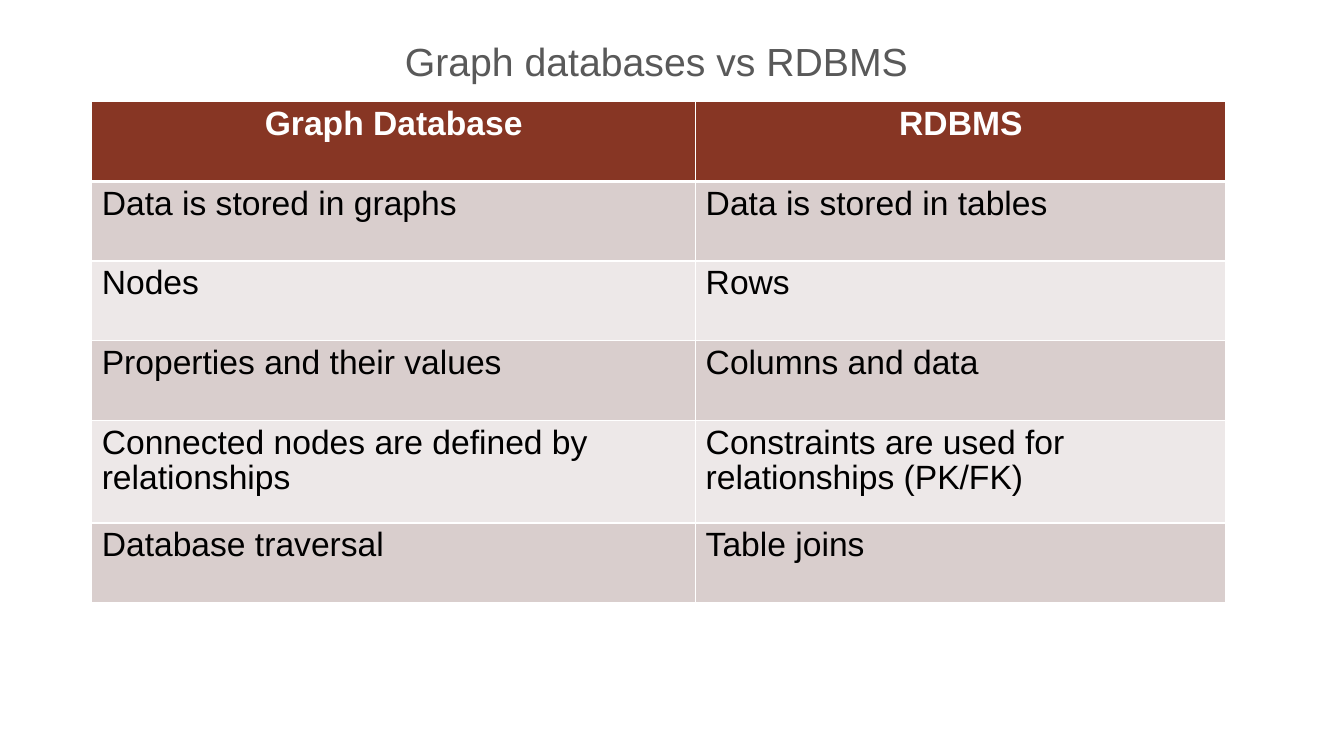
from dataclasses import dataclass

from lxml import etree
from pptx import Presentation
from pptx import util as u
from pptx.dml.color import RGBColor
from pptx.enum import text
from pptx.oxml import ns

PX = 9144


@dataclass(frozen=True)
class Theme:
    font: str = "Arial"
    title: int = 28
    body: int = 24
    gray: str = "595959"
    head: str = "873624"
    bands: tuple = ("D9CECD", "EDE8E8")
    white: str = "FFFFFF"
    black: str = "000000"


THEME = Theme()
ROWS = [
    ("Graph Database", "RDBMS"),
    ("Data is stored in graphs", "Data is stored in tables"),
    ("Nodes", "Rows"),
    ("Properties and their values", "Columns and data"),
    ("Connected nodes are defined by relationships",
     "Constraints are used for relationships (PK/FK)"),
    ("Database traversal", "Table joins"),
]
COLS = (599, 526)
HIGH = (79, 79, 79, 79, 102, 79)


def px(*vals):
    return [u.Emu(val * PX) for val in vals]


def write(frame, words, size, color, bold=False, center=False, pitch=None):
    frame.word_wrap = True
    para = frame.paragraphs[0]
    para.alignment = text.PP_ALIGN.CENTER if center else text.PP_ALIGN.LEFT
    para.line_spacing = pitch
    run = para.add_run()
    run.text = words
    run.font.name = THEME.font
    run.font.size = u.Pt(size)
    run.font.bold = bold
    run.font.color.rgb = RGBColor.from_string(color)


def paint(cell, color):
    cell.fill.solid()
    cell.fill.fore_color.rgb = RGBColor.from_string(color)


def edge(cell, side, width):
    line = etree.Element(ns.qn(f"a:ln{side}"), w=str(u.Pt(width)))
    fill = etree.SubElement(line, ns.qn("a:solidFill"))
    etree.SubElement(fill, ns.qn("a:srgbClr"), val=THEME.white)
    return line


def frame_cell(cell, top, bottom):
    props = cell._tc.get_or_add_tcPr()
    widths = {"L": 1, "R": 1, "T": top, "B": bottom}
    for spot, (side, width) in enumerate(widths.items()):
        props.insert(spot, edge(cell, side, width))


def add_title(slide, box):
    frame = slide.shapes.add_textbox(*px(*box)).text_frame
    write(frame, "Graph databases vs RDBMS", THEME.title, THEME.gray,
          center=True)


def add_grid(slide, box):
    grid = slide.shapes.add_table(len(ROWS), len(COLS), *px(*box)).table
    for col, width in zip(grid.columns, px(*COLS)):
        col.width = width
    for row, high in zip(grid.rows, px(*HIGH)):
        row.height = high
    for r, row in enumerate(ROWS):
        head = r == 0
        for c, words in enumerate(row):
            cell = grid.cell(r, c)
            paint(cell, THEME.head if head else THEME.bands[(r - 1) % 2])
            frame_cell(cell, 3 if r == 1 else 1, 3 if head else 1)
            write(cell.text_frame, words, THEME.body,
                  THEME.white if head else THEME.black,
                  bold=head, center=head, pitch=0.96)


def main():
    deck = Presentation()
    deck.slide_width, deck.slide_height = px(1333, 750)
    slide = deck.slides.add_slide(deck.slide_layouts[6])
    add_title(slide, (281, 32, 740, 101))
    add_grid(slide, (91, 101, sum(COLS), sum(HIGH)))
    deck.save("out.pptx")


if __name__ == "__main__":
    main()
